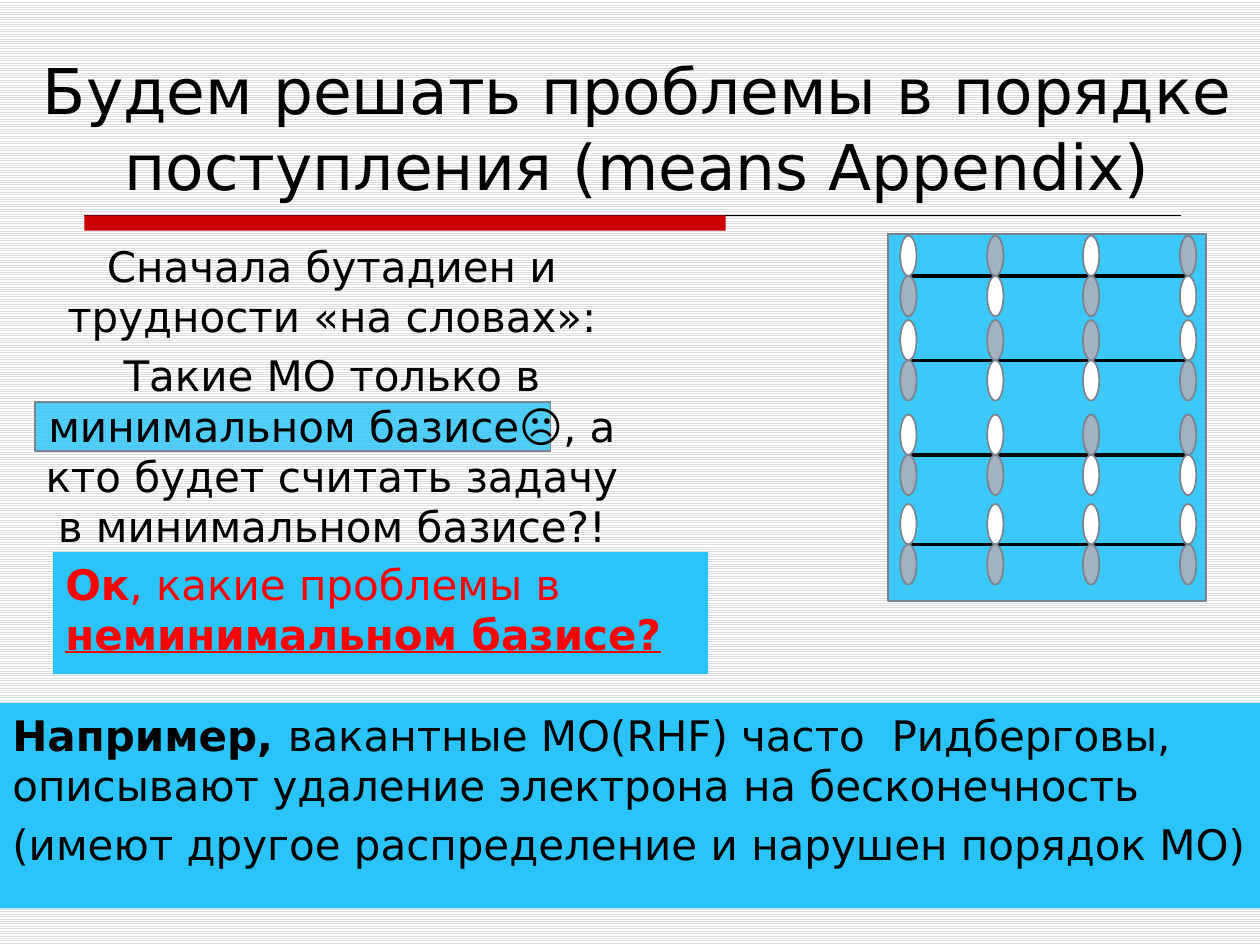
"""Build a slide on the butadiene orbitals and the limits of a minimal basis."""
import pptx
import pptx.util
import pptx.dml.color
import pptx.enum.dml
import pptx.enum.shapes
import pptx.enum.text
import pptx.oxml.ns
import lxml.etree

HUES = {"sky": "2AC4FA", "edge": "79848F", "gray": "A3B2C1", "white": "FFFFFF",
        "black": "000000", "red": "FF0000", "bar": "CC0000", "stripe": "DDDDDD"}
FONT = "DejaVu Sans"
CELL = pptx.util.Inches(0.1)
COLS = (1.6, 8.5, 16.1, 23.8)
ROWS = ((3.3, "+-+-"), (10, "+--+"), (17.5, "++--"), (24.6, "++++"))
LOBE = (1.3, 3.2)
KINDS = pptx.enum.shapes.MSO_SHAPE
ALIGN = pptx.enum.text.PP_ALIGN


def grid(*nums):
    """Turn counts of grid cells into lengths."""
    return [pptx.util.Emu(round(n * CELL)) for n in nums]


def hue(name):
    """Return the named colour."""
    return pptx.dml.color.RGBColor.from_string(HUES[name])


def add_sub(node, tag, **attrs):
    """Append a drawing element to a node."""
    return lxml.etree.SubElement(node, pptx.oxml.ns.qn(tag), **attrs)


def draw(shapes, kind, box, fill, edge=None, alpha=None):
    """Draw a flat preset shape in the box."""
    shape = shapes.add_shape(kind, *grid(*box))
    shape.shadow.inherit = False
    shape.fill.solid()
    shape.fill.fore_color.rgb = hue(fill)
    if alpha:
        tint = shape.fill._xPr.find(".//" + pptx.oxml.ns.qn("a:srgbClr"))
        add_sub(tint, "a:alpha", val=str(alpha * 1000))
    if edge:
        shape.line.color.rgb = hue(edge)
        shape.line.width = pptx.util.Pt(1)
    else:
        shape.line.fill.background()
    return shape


def rule(shapes, start, end, width):
    """Draw a straight black line."""
    line = shapes.add_connector(pptx.enum.shapes.MSO_CONNECTOR.STRAIGHT,
                                *grid(*start, *end))
    line.line.color.rgb = hue("black")
    line.line.width = pptx.util.Pt(width)
    add_sub(line._element.spPr, "a:effectLst")


def write(shape, paras, align, tint="black", size=24, gap=4.8, anchor="TOP"):
    """Write paragraphs of (text, style) runs, where style holds b and u."""
    frame = shape.text_frame
    frame.word_wrap = True
    frame.auto_size = pptx.enum.text.MSO_AUTO_SIZE.NONE
    frame.vertical_anchor = pptx.enum.text.MSO_ANCHOR[anchor]
    for i, runs in enumerate(paras):
        para = frame.paragraphs[0] if i == 0 else frame.add_paragraph()
        para.alignment = align
        para.space_before = pptx.util.Pt(gap)
        para.font.name = FONT
        para.font.size = pptx.util.Pt(size)
        para.font.color.rgb = hue(tint)
        for text, style in runs:
            run = para.add_run()
            run.text = text
            if "b" in style:
                run.font.bold = True
            if "u" in style:
                run.font.underline = True


def add_head(slide, box):
    """Place the title and the rule under it."""
    left, top, wide, high = box
    title = slide.shapes.title
    title.left, title.top, title.width, title.height = grid(*box)
    text = "Будем решать проблемы в порядке поступления (means Appendix)"
    write(title, [[(text, "")]], ALIGN.CENTER, size=36, gap=0, anchor="BOTTOM")
    base = top + high + 0.5
    rule(slide.shapes, (left + 5.5, base), (left + 92.5, base), 0.75)
    draw(slide.shapes, KINDS.RECTANGLE, (left + 5.5, base, 50.9, 1.2), "bar")


def add_body(slide, box):
    """Place the argument with its marked line."""
    left, top = box[:2]
    draw(slide.shapes, KINDS.RECTANGLE, (left + 1.6, top + 13.3, 40.9, 3.9),
         "sky", "edge", 81)
    text = slide.shapes.add_textbox(*grid(*box))
    write(text, [[("Сначала бутадиен и трудности «на словах»:", "")],
                 [("Такие МО только в минимальном базисе☹, а кто будет "
                   "считать задачу в минимальном базисе?!", "")]], ALIGN.CENTER)


def add_level(shapes, left, base, signs):
    """Draw one orbital as a line with a pair of lobes at each atom."""
    rule(shapes, (left + COLS[0], base), (left + COLS[-1], base), 2)
    wide, high = LOBE
    for col, sign in zip(COLS, signs):
        pair = ("white", "gray") if sign == "+" else ("gray", "white")
        for top, fill in zip((base - high, base), pair):
            draw(shapes, KINDS.OVAL, (left + col - wide / 2, top, wide, high),
                 fill, "edge")


def add_panel(slide, box):
    """Draw the panel of four orbitals."""
    left, top = box[:2]
    draw(slide.shapes, KINDS.RECTANGLE, box, "sky", "edge", 91)
    for row, signs in ROWS:
        group = slide.shapes.add_group_shape()
        add_level(group.shapes, left, top + row, signs)


def add_note(slide, box, paras, tint):
    """Place a filled box of text."""
    note = draw(slide.shapes, KINDS.RECTANGLE, box, "sky")
    write(note, paras, ALIGN.LEFT, tint)


def main():
    """Build and save the slide."""
    deck = pptx.Presentation()
    deck.slide_width, deck.slide_height = grid(100, 75)
    slide = deck.slides.add_slide(deck.slide_layouts[5])
    back = slide.background.fill
    back.patterned()
    back.pattern = pptx.enum.dml.MSO_PATTERN.LIGHT_HORIZONTAL
    back.fore_color.rgb = hue("stripe")
    back.back_color.rgb = hue("white")
    add_head(slide, (1.2, 0.5, 98.8, 16.1))
    add_body(slide, (1.2, 18.6, 50.3, 24.5))
    add_panel(slide, (70.5, 18.6, 25.2, 29.1))
    add_note(slide, (4.2, 43.8, 52, 9.7),
             [[("Ок", "b"), (", какие проблемы в ", ""),
               ("неминимальном базисе?", "bu")]], "red")
    add_note(slide, (0, 55.8, 100, 16.3),
             [[("Например, ", "b"),
               ("вакантные МО(RHF) часто  Ридберговы, описывают удаление "
                "электрона на бесконечность", "")],
              [("(имеют другое распределение и нарушен порядок МО)", "")]],
             "black")
    deck.save("out.pptx")


if __name__ == "__main__":
    main()
